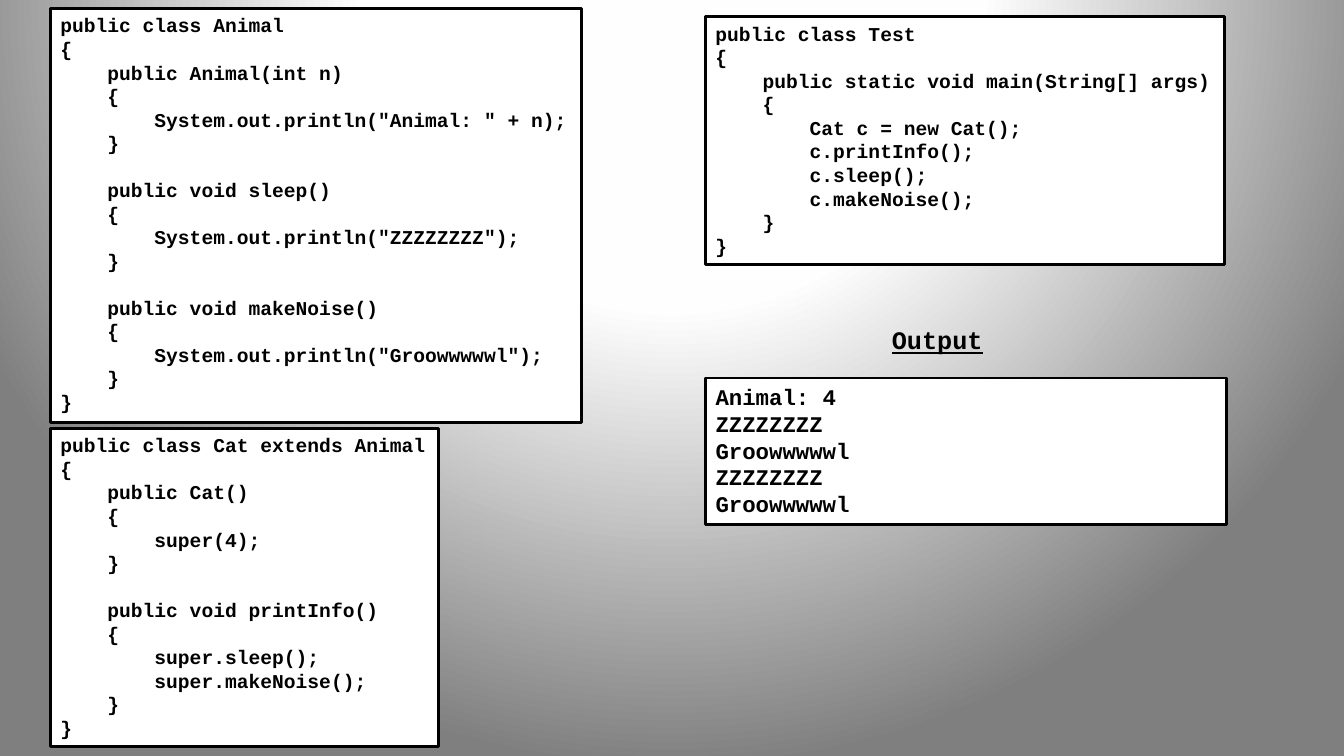
"""Build a slide that traces Java inheritance from source code to output."""
from pptx import Presentation
from pptx.dml.color import RGBColor
from pptx.enum.shapes import MSO_SHAPE as Preset
from pptx.enum.text import MSO_ANCHOR as Anchor, MSO_AUTO_SIZE as AutoSize, PP_ALIGN as Align
from pptx.oxml import parse_xml
from pptx.oxml.ns import nsdecls, qn
from pptx.util import Pt

ANIMAL_CODE = """public class Animal
{
    public Animal(int n)
    {
        System.out.println("Animal: " + n);
    }
    
    public void sleep()
    {
        System.out.println("ZZZZZZZZ");
    }
    
    public void makeNoise()
    {
        System.out.println("Groowwwwwl");
    }
}"""
CAT_CODE = """public class Cat extends Animal
{
    public Cat()
    {
        super(4);
    }
    
    public void printInfo()
    {
        super.sleep();
        super.makeNoise();
    }
}"""
TEST_CODE = """public class Test
{
    public static void main(String[] args)
    {
        Cat c = new Cat();
        c.printInfo();
        c.sleep();
        c.makeNoise();
    }
}"""
OUTPUT_TEXT = """Animal: 4
ZZZZZZZZ
Groowwwwwl
ZZZZZZZZ
Groowwwwwl"""

LEFT_COLUMN, RIGHT_COLUMN = 36, 504
PANELS = [
    (ANIMAL_CODE, (LEFT_COLUMN, 6, 379.5, 296), 14, False),
    (CAT_CODE, (LEFT_COLUMN, 306, 277, 227.5), 14, False),
    (TEST_CODE, (RIGHT_COLUMN, 12, 371, 177), 14, False),
    (OUTPUT_TEXT, (RIGHT_COLUMN, 270, 372, 104.5), 16, True),
]
HEADING, HEADING_PLACE = "Output", (630, 228, 80, 29)

FONT = "Courier New"
BLACK = RGBColor(0x00, 0x00, 0x00)
WHITE = RGBColor(0xFF, 0xFF, 0xFF)
GRADIENT = [
    (0, WHITE),
    (40, RGBColor(0xFE, 0xFE, 0xFE)),
    (100, RGBColor(0x7F, 0x7F, 0x7F)),
]


def paint_background(page):
    """Give the page a circular gradient centred above its top half."""
    page.background.fill.solid()
    stops = "".join(
        f'<a:gs pos="{percent * 1000}"><a:srgbClr val="{color}"/></a:gs>'
        for percent, color in GRADIENT
    )
    gradient = parse_xml(
        f'<a:gradFill {nsdecls("a")} rotWithShape="1"><a:gsLst>{stops}</a:gsLst>'
        '<a:path path="circle">'
        '<a:fillToRect l="50000" t="-80000" r="50000" b="180000"/>'
        "</a:path></a:gradFill>"
    )
    solid = next(page.element.iter(qn("a:solidFill")))
    solid.getparent().replace(solid, gradient)


def write_lines(box, text, size, wrap=False, underline=None):
    """Write each line of text as one bold monospaced paragraph."""
    frame = box.text_frame
    frame.word_wrap = wrap
    frame.auto_size = AutoSize.SHAPE_TO_FIT_TEXT
    frame.vertical_anchor = Anchor.TOP
    for index, line in enumerate(text.split("\n")):
        para = frame.add_paragraph() if index else frame.paragraphs[0]
        para.alignment = Align.LEFT
        span = para.add_run()
        span.text = line
        span.font.name = FONT
        span.font.size = Pt(size)
        span.font.bold = True
        span.font.underline = underline
        span.font.color.rgb = BLACK


def add_panel(page, text, place, size, wrap):
    """Add a white panel with a black border and its lines of text."""
    panel = page.shapes.add_shape(Preset.RECTANGLE, *map(Pt, place))
    panel.shadow.inherit = False
    panel.fill.solid()
    panel.fill.fore_color.rgb = WHITE
    panel.line.color.rgb = BLACK
    panel.line.width = Pt(2)
    write_lines(panel, text, size, wrap)


def main():
    """Create the deck and save it."""
    deck = Presentation()
    deck.slide_width, deck.slide_height = Pt(960), Pt(540)
    page = deck.slides.add_slide(deck.slide_layouts[6])
    paint_background(page)
    for panel in PANELS:
        add_panel(page, *panel)
    heading = page.shapes.add_textbox(*map(Pt, HEADING_PLACE))
    write_lines(heading, HEADING, 18, underline=True)
    deck.save("out.pptx")


if __name__ == "__main__":
    main()
